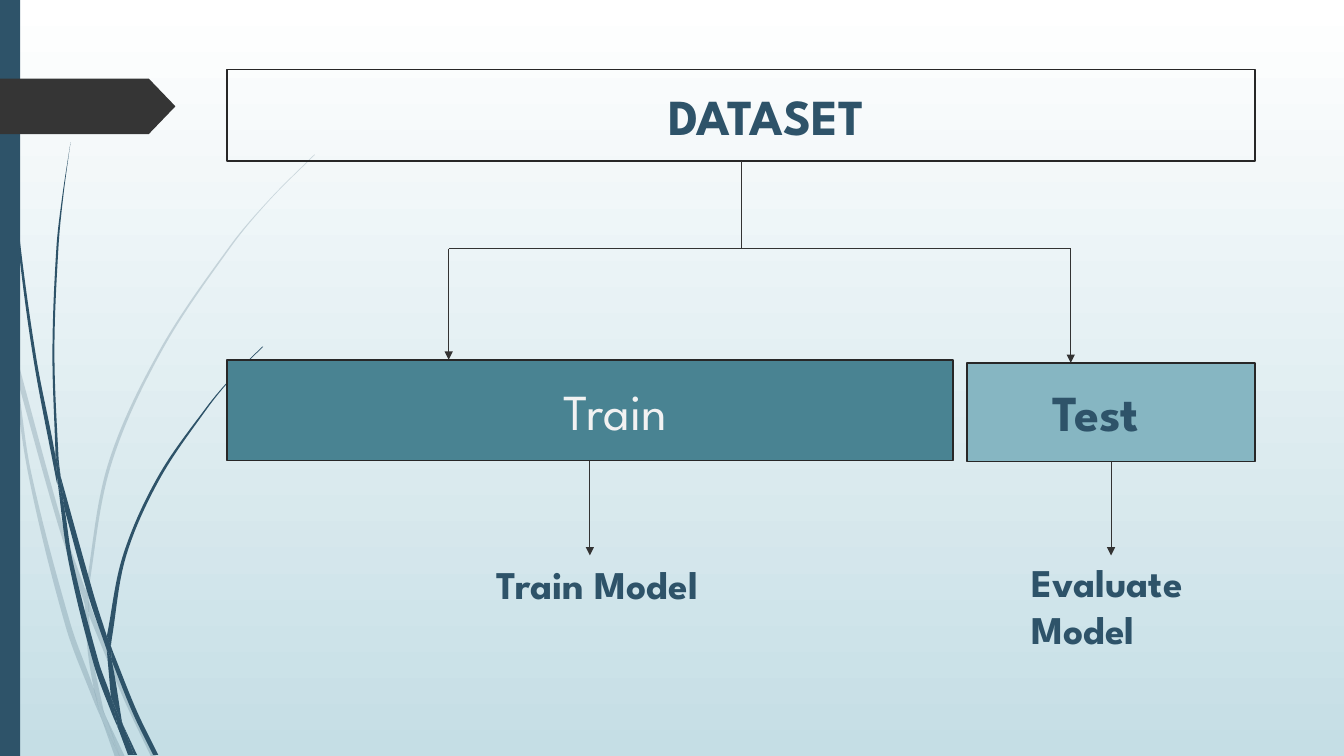
from math import dist

from lxml.etree import SubElement
from pptx import Presentation
from pptx.dml.color import RGBColor
from pptx.enum.shapes import MSO_CONNECTOR, MSO_SHAPE
from pptx.enum.text import MSO_AUTO_SIZE, PP_ALIGN
from pptx.oxml.ns import qn
from pptx.util import Inches, Pt

COLORS = {
    "navy": "2E5369", "teal": "498392", "sky": "86B6C2", "tag": "353535",
    "border": "272727", "arrow": "333333", "pale": "F2F2F2",
    "bg_top": "FFFFFF", "bg_bottom": "C5DEE5",
}
FONT = "League Spartan"

# Decorative stem pieces: one edge going out, the other coming back
PALE_STEMS = [
    ([(0, 2.82), (0.09, 3.22), (0.11, 3.5)], [(0.1, 3.44), (0, 2.99)]),
    ([(0.14, 3.45), (0.62, 5.2), (0.85, 5.86)], [(0.84, 5.99), (0.58, 5.22), (0.17, 3.76)]),
    ([(0.88, 5.96), (0.92, 6.07), (1.27, 6.92), (1.55, 7.51)], [(1.5, 7.51), (1.23, 6.94), (0.88, 6.1)]),
    ([(1.05, 7.11), (1.24, 7.51)], [(1.19, 7.51)]),
    ([(0.11, 3.5), (0.17, 3.76), (0.31, 4.69), (0.7, 6.19), (0.93, 6.83), (0.99, 7.07)],
     [(1.01, 7.14), (0.92, 6.93), (0.65, 6.21), (0.28, 4.7), (0.11, 3.5)]),
    ([(0.84, 5.99), (0.88, 6.1), (0.91, 6.46), (1.03, 7.06), (1.05, 7.11)],
     [(0.96, 6.92), (0.93, 6.83), (0.87, 6.46), (0.84, 5.99)]),
    ([(3.12, 1.53), (2.68, 1.97), (2.28, 2.44), (1.58, 3.48), (1.07, 4.61), (0.85, 5.84), (0.85, 5.86)],
     [(0.88, 5.96), (0.88, 5.84), (1.1, 4.62), (1.6, 3.49), (2.29, 2.45), (2.68, 1.98), (3.12, 1.54)]),
    ([(1.01, 7.14), (1.14, 7.51)], [(1.19, 7.51)]),
    ([(0.85, 5.86), (0.88, 5.96), (0.88, 6.1)], [(0.88, 6.08), (0.84, 5.99)]),
    ([(0.93, 6.83), (0.96, 6.92), (1.05, 7.11), (1.19, 7.51)], [(1.01, 7.14), (0.99, 7.07)]),
]
NAVY_STEMS = [
    ([(0.04, 0), (0.05, 0.48), (0.08, 1.09), (0.19, 2.32), (0.36, 3.55), (0.55, 4.53), (0.57, 4.81)],
     [(0.56, 4.77), (0.33, 3.55), (0.17, 2.33), (0.07, 1.1), (0.03, 0)]),
    ([(0.6, 4.72), (0.93, 5.9), (1.06, 6.31)], [(1.06, 6.45), (0.88, 5.92), (0.64, 5.05)]),
    ([(1.1, 6.41), (1.13, 6.49), (1.36, 7.06), (1.57, 7.49)], [(1.52, 7.49), (1.32, 7.08), (1.11, 6.56)]),
    ([(0.57, 4.77), (0.64, 5.05), (0.72, 5.56), (0.98, 6.57), (1.1, 6.91), (1.16, 7.17)],
     [(1.17, 7.22), (1.11, 7.08), (0.93, 6.59), (0.68, 5.57), (0.57, 4.77)]),
    ([(0.7, 1.41), (0.63, 1.93), (0.58, 2.45), (0.54, 3.49), (0.58, 4.53), (0.6, 4.72)],
     [(0.55, 4.49), (0.52, 3.49), (0.56, 2.45), (0.62, 1.93), (0.7, 1.41)]),
    ([(1.22, 7.19), (1.36, 7.49)], [(1.33, 7.49)]),
    ([(0.55, 4.49), (0.6, 4.72), (0.64, 5.05)], [(0.57, 4.77), (0.55, 4.53)]),
    ([(2.6, 3.44), (2.31, 3.73), (2.04, 4.05), (1.56, 4.74), (1.22, 5.51), (1.06, 6.31)],
     [(1.1, 6.41), (1.11, 6.33), (1.25, 5.52), (1.58, 4.76), (2.05, 4.06), (2.31, 3.74), (2.61, 3.44)]),
    ([(1.17, 7.22), (1.27, 7.49)], [(1.31, 7.49)]),
    ([(1.06, 6.45), (1.11, 6.56), (1.21, 7.16)], [(1.22, 7.19), (1.16, 7.06), (1.1, 6.91)]),
    ([(1.06, 6.31), (1.1, 6.41), (1.11, 6.56)], [(1.09, 6.51), (1.06, 6.45)]),
    ([(1.1, 6.91), (1.16, 7.06), (1.22, 7.19), (1.33, 7.49)], [(1.3, 7.49), (1.17, 7.22), (1.16, 7.17)]),
]


def rgb(name):
    return RGBColor.from_string(COLORS[name])


def smooth_edge(points):
    """Two control points and an end point for each step along the points."""
    def control(before, at, after, length):
        pull = length / 3 / dist(before, after)
        return tuple(m + (n - k) * pull for k, m, n in zip(before, at, after))

    padded = [points[0], *points, points[-1]]
    curve = []
    for a, b, c, d in zip(padded, padded[1:], padded[2:], padded[3:]):
        curve += [control(a, b, c, dist(b, c)), control(d, c, b, dist(b, c)), c]
    return curve


class Deck:
    def __init__(self):
        self.prs = Presentation()
        self.prs.slide_width, self.prs.slide_height = Inches(13.33), Inches(7.5)
        self.s = self.prs.slides.add_slide(self.prs.slide_layouts[6])

    def background(self, top, bottom):
        fill = self.s.background.fill
        fill.gradient()
        fill.gradient_angle = 270
        for stop, name in zip(fill.gradient_stops, (top, bottom)):
            stop.color.rgb = rgb(name)

    def paint(self, sp, fill=None, line=None):
        sp.shadow.inherit = False
        if fill:
            sp.fill.solid()
            sp.fill.fore_color.rgb = rgb(fill)
        else:
            sp.fill.background()
        if line:
            sp.line.color.rgb = rgb(line)
            sp.line.width = Pt(1.25)
        else:
            sp.line.fill.background()
        return sp

    def shape(self, x, y, w, h, fill=None, line=None, kind=MSO_SHAPE.RECTANGLE):
        sp = self.s.shapes.add_shape(kind, Inches(x), Inches(y), Inches(w), Inches(h))
        return self.paint(sp, fill, line)

    def stem(self, out, back, fill, opacity=100):
        outline = [out[0], *smooth_edge(out), out[-1], back[0], back[0], *smooth_edge(back)]
        start, *points = [(Inches(x), Inches(y)) for x, y in outline]
        builder = self.s.shapes.build_freeform(*start)
        builder.add_line_segments(points, close=True)
        sp = self.paint(builder.convert_to_shape(), fill)
        # Turn each three line steps into one curve
        steps = list(sp._element.iter(qn("a:lnTo")))
        for first, *others in zip(steps[::3], steps[1::3], steps[2::3]):
            first.tag = qn("a:cubicBezTo")
            for step in others:
                first.append(step[0])
                step.getparent().remove(step)
        if opacity < 100:
            color = sp._element.spPr.find(qn("a:solidFill"))[0]
            SubElement(color, qn("a:alpha")).set("val", str(opacity * 1000))

    def text(self, x, y, w, h, text, size, color="navy", bold=True, align=PP_ALIGN.LEFT):
        tf = self.s.shapes.add_textbox(Inches(x), Inches(y), Inches(w), Inches(h)).text_frame
        tf.word_wrap = True
        tf.auto_size = MSO_AUTO_SIZE.SHAPE_TO_FIT_TEXT
        p = tf.paragraphs[0]
        p.text = text
        p.alignment = align
        font = p.runs[0].font
        font.name, font.size, font.bold = FONT, Pt(size), bold
        font.color.rgb = rgb(color)
        return p

    def line(self, x1, y1, x2, y2, source=None, arrow=True):
        c = self.s.shapes.add_connector(
            MSO_CONNECTOR.STRAIGHT, Inches(x1), Inches(y1), Inches(x2), Inches(y2))
        if source is not None:
            c.begin_connect(source, 2)
        c.line.color.rgb = rgb("arrow")
        c.line.width = Pt(0.75)
        if arrow:
            SubElement(c.line._get_or_add_ln(), qn("a:tailEnd")).set("type", "triangle")
        SubElement(c._element.spPr, qn("a:effectLst"))


def main():
    deck = Deck()

    # Background and side decoration
    deck.background("bg_top", "bg_bottom")
    for stems, opacity in ((PALE_STEMS, 20), (NAVY_STEMS, 100)):
        for out, back in stems:
            deck.stem(out, back, "navy", opacity)
    deck.shape(0, 0, 0.2, 7.5, "navy")
    tag = deck.shape(0, 0.78, 1.74, 0.55, "tag", kind=MSO_SHAPE.PENTAGON)
    tag.adjustments[0] = 0.48

    # Dataset, train and test boxes
    dataset = deck.shape(2.25, 0.69, 10.2, 0.91, line="border")
    p = deck.text(3.59, 0.79, 7.52, 0.71, "DATASET", 36, align=PP_ALIGN.CENTER)
    p.level = 1
    pPr = p._p.get_or_add_pPr()
    pPr.set("marL", str(Inches(0.5)))
    pPr.set("indent", "0")
    train = deck.shape(2.25, 3.57, 7.2, 1, "teal", "border")
    test = deck.shape(9.59, 3.6, 2.86, 0.98, "sky", "border")
    deck.text(4.01, 3.72, 4.19, 0.71, "Train", 36, "pale", False, PP_ALIGN.CENTER)
    deck.text(10.34, 3.73, 2.07, 0.71, "Test", 36)

    # Split from the dataset
    split_y, train_x, test_x = 2.47, 4.45, 10.62
    deck.line(7.35, 1.6, 7.35, split_y, dataset, arrow=False)
    deck.line(train_x, split_y, test_x, split_y, arrow=False)
    deck.line(train_x, split_y, train_x, 3.57)
    deck.line(test_x, split_y, test_x, 3.6)

    # Outcomes
    deck.line(5.85, 4.57, 5.85, 5.51, train)
    deck.text(4.83, 5.51, 3.18, 0.57, "Train Model", 28)
    deck.line(11.02, 4.58, 11.02, 5.51, test)
    deck.text(10.13, 5.49, 2.29, 1.04, "Evaluate Model", 28)

    deck.prs.save("out.pptx")


if __name__ == "__main__":
    main()
